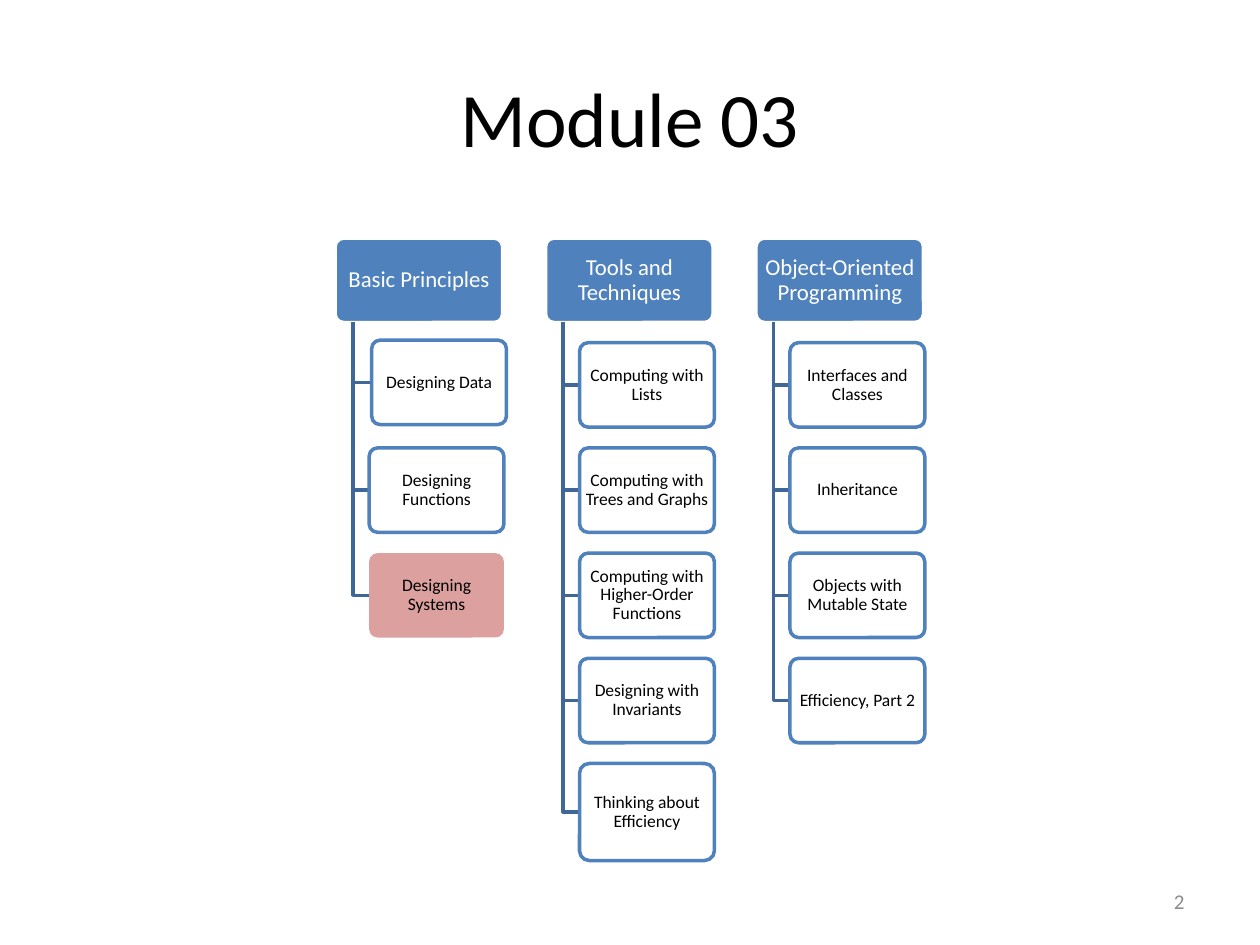
from lxml import etree
from pptx import Presentation
from pptx import util as u
from pptx.dml.color import RGBColor
from pptx.enum import shapes, text
from pptx.oxml import ns

FONT = "Calibri"
BLUE, DARK_BLUE, PINK = "4F81BD", "3F6797", "D99694"
WHITE, BLACK, GREY = "FFFFFF", "000000", "8C8C8C"

# Grid of the module tree, in inches
LEFT, TOP = 2.66, 1.89
COLUMN_STEP, ROW_STEP = 1.67, 0.835
HEADER_WIDTH, BOX_HEIGHT = 1.33, 0.67
TRUNK_INDENT, TOPIC_INDENT = 0.14, 0.27
TOPIC_TOP, TOPIC_WIDTH = 2.72, 1.07

CURRENT = "Designing Systems"
NUDGES = {"Designing Data": (0.02, -0.02)}    # shift right, down
HEIGHTS = {"Thinking about Efficiency": 0.77}
MODULES = [
    ("Basic Principles",
     ["Designing Data", "Designing Functions", CURRENT]),
    ("Tools and Techniques",
     ["Computing with Lists", "Computing with Trees and Graphs",
      "Computing with Higher-Order Functions", "Designing with Invariants",
      "Thinking about Efficiency"]),
    ("Object-Oriented Programming",
     ["Interfaces and Classes", "Inheritance", "Objects with Mutable State",
      "Efficiency, Part 2"]),
]


def color(value):
    return RGBColor.from_string(value)


def write(shape, words, size=10, ink=BLACK, align=text.PP_ALIGN.CENTER,
          spacing=None, insets=(0.1, 0.05)):
    frame = shape.text_frame
    frame.word_wrap = True
    frame.vertical_anchor = text.MSO_ANCHOR.MIDDLE
    frame.margin_left = frame.margin_right = u.Inches(insets[0])
    frame.margin_top = frame.margin_bottom = u.Inches(insets[1])
    para = frame.paragraphs[0]
    para.alignment = align
    if spacing:
        para.line_spacing = spacing
    span = para.add_run()
    span.text = words
    span.font.name, span.font.size = FONT, u.Pt(size)
    span.font.color.rgb = color(ink)


def add_label(page, words, left, top, width, height, **style):
    box = page.shapes.add_textbox(*map(u.Inches, (left, top, width, height)))
    write(box, words, **style)


def add_box(page, words, left, top, width, height, fill, line=None, alpha=None,
            **style):
    box = page.shapes.add_shape(shapes.MSO_SHAPE.ROUNDED_RECTANGLE,
                                *map(u.Inches, (left, top, width, height)))
    box.adjustments[0] = 0.1
    box.shadow.inherit = False
    box.fill.solid()
    box.fill.fore_color.rgb = color(fill)
    if alpha:
        tint = box.fill._xPr.find(".//" + ns.qn("a:srgbClr"))
        etree.SubElement(tint, ns.qn("a:alpha"), val=str(alpha * 1000))
    if line:
        box.line.color.rgb = color(line)
        box.line.width = u.Pt(2)
    else:
        box.line.fill.background()
    write(box, words, spacing=0.9, **style)


def add_branch(page, trunk, top, middle, end):
    """Draw an elbow from a header down and across to a topic."""
    builder = page.shapes.build_freeform(u.Inches(trunk), u.Inches(top))
    builder.add_line_segments([(u.Inches(trunk), u.Inches(middle)),
                               (u.Inches(end), u.Inches(middle))], close=False)
    branch = builder.convert_to_shape()
    branch.shadow.inherit = False
    branch.fill.background()
    branch.line.color.rgb = color(DARK_BLUE)
    branch.line.width = u.Pt(2)


def add_module(page, column, header, topics):
    left = LEFT + column * COLUMN_STEP
    add_box(page, header, left, TOP, HEADER_WIDTH, BOX_HEIGHT, BLUE, WHITE,
            size=13, ink=WHITE, insets=(0.03, 0.02))
    for row, topic in enumerate(topics):
        right, down = NUDGES.get(topic, (0, 0))
        topic_left = left + TOPIC_INDENT + right
        topic_top = TOPIC_TOP + row * ROW_STEP + down
        height = HEIGHTS.get(topic, BOX_HEIGHT)
        add_branch(page, left + TRUNK_INDENT, TOP + BOX_HEIGHT,
                   topic_top + height / 2, topic_left)
        fill, line = (PINK, None) if topic == CURRENT else (WHITE, BLUE)
        add_box(page, topic, topic_left, topic_top, TOPIC_WIDTH, height, fill,
                line, alpha=90, insets=(0.02, 0.01))


def main():
    deck = Presentation()
    deck.slide_width, deck.slide_height = u.Inches(10), u.Inches(7.5)
    page = deck.slides.add_slide(deck.slide_layouts[6])

    # Title and page number
    add_label(page, "Module 03", 0.5, 0.3, 9, 1.25, size=44)
    add_label(page, "2", 7.17, 6.95, 2.33, 0.4, size=12, ink=GREY,
              align=text.PP_ALIGN.RIGHT)

    # Module tree
    for column, (header, topics) in enumerate(MODULES):
        add_module(page, column, header, topics)

    deck.save("out.pptx")


if __name__ == "__main__":
    main()
